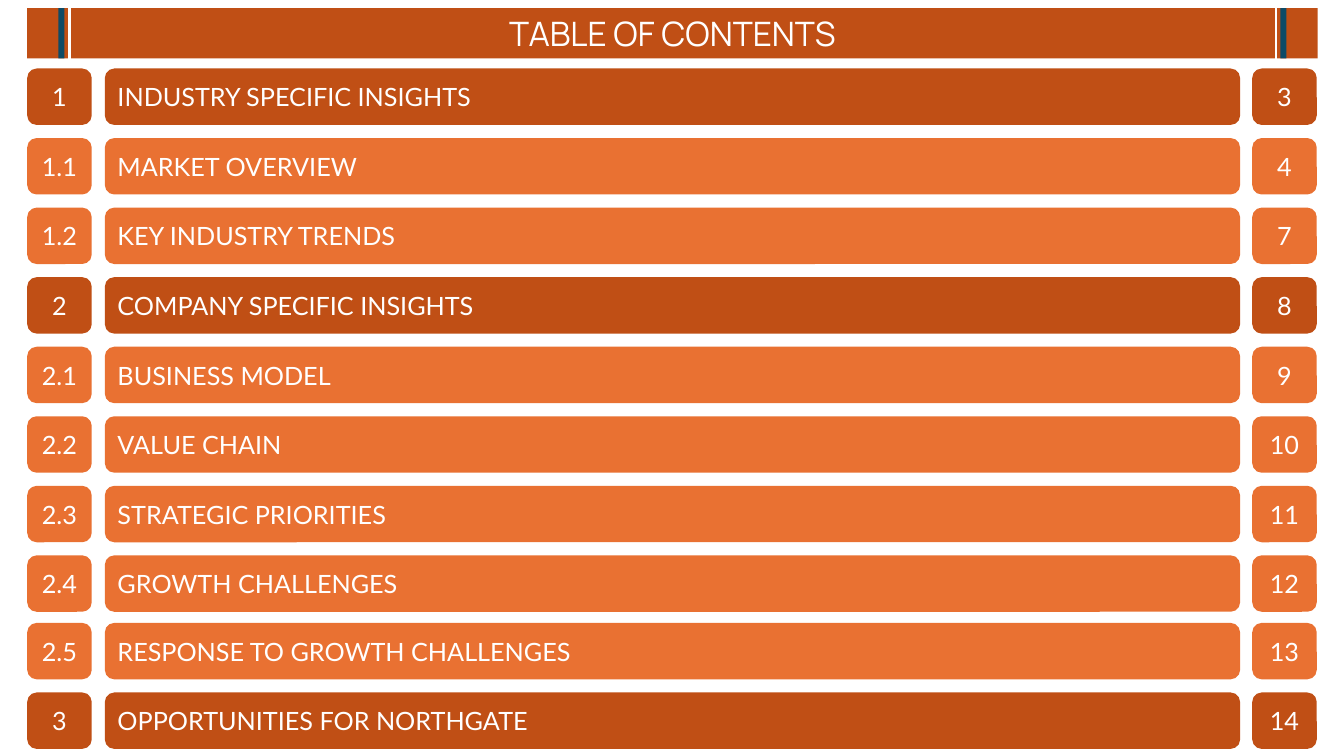
"""Build a table of contents slide with numbered rows and page numbers."""
from dataclasses import dataclass

from pptx import Presentation, util as u
from pptx.dml.color import RGBColor
from pptx.enum import shapes as es, text as et
from pptx.oxml import ns
from pptx.shapes.autoshape import Shape
from pptx.slide import Slide

RUST = RGBColor(0xC0, 0x4F, 0x15)
ORANGE = RGBColor(0xE9, 0x71, 0x32)
NAVY = RGBColor(0x0D, 0x4B, 0x67)
WHITE = RGBColor(0xFF, 0xFF, 0xFF)

LEFT, TOP, PITCH, HEIGHT = 0.27, 0.68, 0.69, 0.56
HEAD_TOP, HEAD_HIGH = 0.08, 0.5
SHIFT, SHIFT_FROM = 0.02, 8


@dataclass
class Entry:
    number: str
    title: str
    page: str

    @property
    def color(self) -> RGBColor:
        return ORANGE if "." in self.number else RUST


@dataclass
class Column:
    field: str
    left: float
    width: float
    align: et.PP_ALIGN


@dataclass
class Stripe:
    band: float
    line: float


ENTRIES = [
    Entry("1", "INDUSTRY SPECIFIC INSIGHTS", "3"),
    Entry("1.1", "MARKET OVERVIEW", "4"),
    Entry("1.2", "KEY INDUSTRY TRENDS", "7"),
    Entry("2", "COMPANY SPECIFIC INSIGHTS", "8"),
    Entry("2.1", "BUSINESS MODEL", "9"),
    Entry("2.2", "VALUE CHAIN", "10"),
    Entry("2.3", "STRATEGIC PRIORITIES", "11"),
    Entry("2.4", "GROWTH CHALLENGES", "12"),
    Entry("2.5", "RESPONSE TO GROWTH CHALLENGES", "13"),
    Entry("3", "OPPORTUNITIES FOR NORTHGATE", "14"),
]
COLUMNS = [
    Column("number", LEFT, 0.64, et.PP_ALIGN.CENTER),
    Column("title", 1.04, 11.26, et.PP_ALIGN.LEFT),
    Column("page", 12.42, 0.64, et.PP_ALIGN.CENTER),
]
STRIPES = [Stripe(0.58, 0.69), Stripe(12.7, 12.66)]


def add_box(slide: Slide, kind: es.MSO_SHAPE, left: float, top: float,
            width: float, height: float, color: RGBColor) -> Shape:
    """Add a plain filled shape."""
    box = slide.shapes.add_shape(kind, u.Inches(left), u.Inches(top),
                                 u.Inches(width), u.Inches(height))
    box.shadow.inherit = False
    box.fill.solid()
    box.fill.fore_color.rgb = color
    box.line.fill.background()
    return box


def set_text(box: Shape, words: str, font: str, size: int,
             align: et.PP_ALIGN, anchor: et.MSO_ANCHOR) -> None:
    """Write one white paragraph into a shape."""
    frame = box.text_frame
    frame.vertical_anchor = anchor
    para = frame.paragraphs[0]
    para.text = words
    para.alignment = align
    para.font.name = font
    para.font.size = u.Pt(size)
    para.font.color.rgb = WHITE


def add_head(slide: Slide) -> None:
    """Draw the title bar."""
    bar = add_box(slide, es.MSO_SHAPE.RECTANGLE, LEFT, HEAD_TOP,
                  12.8, HEAD_HIGH, RUST)
    set_text(bar, "TABLE OF CONTENTS", "Manrope", 24,
             et.PP_ALIGN.CENTER, et.MSO_ANCHOR.TOP)
    bar.text_frame.auto_size = et.MSO_AUTO_SIZE.SHAPE_TO_FIT_TEXT


def add_stripe(slide: Slide, stripe: Stripe) -> None:
    """Draw a navy band and its white line across the title bar."""
    add_box(slide, es.MSO_SHAPE.RECTANGLE, stripe.band, HEAD_TOP,
            0.06, HEAD_HIGH, NAVY)
    x = u.Inches(stripe.line)
    line = slide.shapes.add_connector(es.MSO_CONNECTOR.STRAIGHT, x,
                                      u.Inches(HEAD_TOP), x, u.Inches(0.59))
    line.line.color.rgb = WHITE
    line.line.width = u.Pt(1.5)
    props = line._element.spPr
    props.append(props.makeelement(ns.qn("a:effectLst"), {}))


def add_row(slide: Slide, entry: Entry, top: float) -> None:
    """Draw the number, title and page of one entry."""
    for col in COLUMNS:
        box = add_box(slide, es.MSO_SHAPE.ROUNDED_RECTANGLE, col.left, top,
                      col.width, HEIGHT, entry.color)
        set_text(box, getattr(entry, col.field), "Lato", 18, col.align,
                 et.MSO_ANCHOR.MIDDLE)


def main() -> None:
    """Build and save the slide."""
    deck = Presentation()
    deck.slide_width, deck.slide_height = u.Inches(13.33), u.Inches(7.5)
    slide = deck.slides.add_slide(deck.slide_layouts[6])
    add_head(slide)
    for stripe in STRIPES:
        add_stripe(slide, stripe)
    for i, entry in enumerate(ENTRIES):
        shift = SHIFT if i >= SHIFT_FROM else 0
        add_row(slide, entry, TOP + i * PITCH - shift)
    deck.save("out.pptx")


if __name__ == "__main__":
    main()
